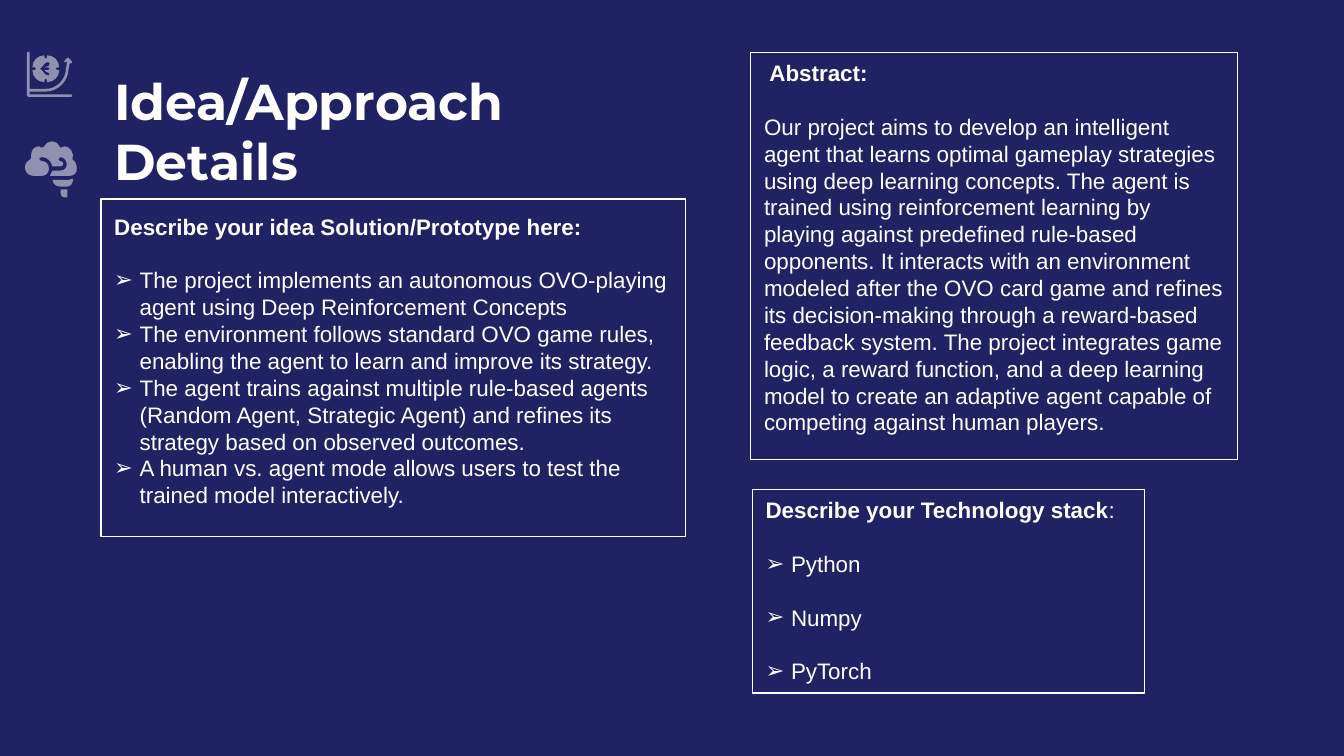
from dataclasses import dataclass

from lxml import etree
from pptx import Presentation
from pptx.dml.color import RGBColor
from pptx.enum.shapes import MSO_SHAPE
from pptx.enum.text import MSO_ANCHOR, PP_ALIGN
from pptx.oxml.ns import qn
from pptx.util import Cm, Pt

RECTANGLE = MSO_SHAPE.RECTANGLE
TOP, BOTTOM = MSO_ANCHOR.TOP, MSO_ANCHOR.BOTTOM
LEFT = PP_ALIGN.LEFT


@dataclass(frozen=True)
class Theme:
    background: RGBColor = RGBColor(0x1F, 0x23, 0x63)
    foreground: RGBColor = RGBColor(0xFF, 0xFF, 0xFF)
    icon_alpha: int = 50000
    title_font: str = "Montserrat"
    body_font: str = "Arial"
    title_size: Pt = Pt(27)
    body_size: Pt = Pt(12)
    line_height: Pt = Pt(14.4)
    border: Pt = Pt(0.75)
    hairline: Pt = Pt(0)
    indent: Cm = Cm(0.48)
    icon_unit: Cm = Cm(0.0254)


THEME = Theme()

COIN = [
    [(6, 14), (4, 14), (4, 19, 8, 23, 13, 23), (13, 22), (13, 20, 15, 20, 15, 22),
     (15, 23), (20, 23, 24, 19, 24, 14), (23, 14), (21, 14, 21, 12, 23, 12),
     (24, 12), (24, 7, 20, 3, 15, 3), (15, 4), (15, 6, 13, 6, 13, 4), (13, 3),
     (8, 3, 4, 7, 4, 12), (6, 12), (7, 12, 7, 14, 6, 14)],
    [(11, 12), (12, 10, 14, 8, 16, 8), (16, 8, 17, 9, 17, 9), (17, 10, 16, 11, 16, 11),
     (15, 11, 14, 11, 13, 12), (16, 12), (17, 12, 17, 14, 16, 14), (13, 14),
     (14, 15, 15, 16, 16, 16), (16, 16, 17, 16, 17, 17), (17, 17, 16, 18, 16, 18),
     (14, 18, 12, 16, 11, 14), (9, 14, 9, 12, 11, 12)],
]
GROWTH_CURVE = [
    [(33, 32), (2, 32), (2, 30), (14, 30), (23, 30, 31, 22, 31, 13), (32, 8), (32, 9),
     (33, 9), (34, 8, 34, 8, 33, 7), (31, 5), (30, 5), (28, 7), (27, 8, 28, 9, 29, 8),
     (30, 8), (29, 13), (29, 21, 22, 28, 14, 28), (2, 28), (2, 1), (2, 0, 0, 0, 0, 1),
     (0, 33), (0, 34, 0, 34, 1, 34), (33, 34), (34, 34, 34, 32, 33, 32)],
]
BRAIN = [
    [(38, 15), (38, 15, 37, 14, 38, 14), (39, 10, 36, 5, 32, 5), (31, 5, 30, 6, 29, 6),
     (29, 6, 28, 6, 28, 5), (26, 0, 19, 0, 17, 5), (16, 6, 16, 6, 15, 6),
     (14, 6, 13, 5, 13, 5), (9, 5, 7, 8, 7, 12), (7, 14), (7, 14, 7, 15, 6, 15),
     (0, 18, 2, 27, 9, 27), (15, 27), (22, 27, 22, 16, 15, 16), (14, 16, 13, 15, 13, 14),
     (13, 14, 14, 13, 15, 13), (19, 13, 22, 16, 23, 20), (29, 20), (30, 20, 31, 19, 31, 18),
     (31, 17, 30, 16, 29, 16), (27, 16, 27, 14, 29, 13), (35, 14, 35, 23, 29, 23),
     (23, 23), (22, 24, 22, 26, 21, 27), (35, 27), (37, 27, 38, 27, 40, 25),
     (41, 24, 41, 23, 41, 21), (41, 19, 40, 16, 38, 15)],
]
BRAIN_STEM = [[(34, 37), (29, 37), (29, 40), (29, 42, 30, 43, 32, 43), (34, 43), (34, 37)]]
CEREBELLUM = [
    [(38, 31), (38, 29), (37, 30, 36, 30, 35, 30), (23, 30), (23, 33, 26, 35, 29, 35),
     (34, 35), (36, 35, 38, 33, 38, 31)],
]

IDEA_POINTS = [
    "The project implements an autonomous OVO-playing agent using Deep Reinforcement Concepts",
    "The environment follows standard OVO game rules, enabling the agent to learn and improve its strategy.",
    "The agent trains against multiple rule-based agents (Random Agent, Strategic Agent) and refines its "
    "strategy based on observed outcomes.",
    "A human vs. agent mode allows users to test the trained model interactively.",
]
ABSTRACT = (
    "Our project aims to develop an intelligent agent that learns optimal gameplay strategies using deep "
    "learning concepts. The agent is trained using reinforcement learning by playing against predefined "
    "rule-based opponents. It interacts with an environment modeled after the OVO card game and refines its "
    "decision-making through a reward-based feedback system. The project integrates game logic, a reward "
    "function, and a deep learning model to create an adaptive agent capable of competing against human players."
)
TECHNOLOGIES = ["Python", "Numpy", "PyTorch"]


def scaled_points(contour):
    return [
        (segment[i] * THEME.icon_unit, segment[i + 1] * THEME.icon_unit)
        for segment in contour
        for i in range(0, len(segment), 2)
    ]


def bend_segments(shape, contours):
    lines = iter(list(shape._element.iter(qn("a:lnTo"))))
    for contour in contours:
        for segment in contour[1:]:
            line = next(lines)
            if len(segment) == 6:
                line.tag = qn("a:cubicBezTo")
                for control in (next(lines), next(lines)):
                    line.append(control[0])
                    control.getparent().remove(control)


def add_icon(slide, left, top, parts):
    for contours in parts:
        outlines = [scaled_points(contour) for contour in contours]
        builder = slide.shapes.build_freeform(*outlines[0][0])
        builder.add_line_segments(outlines[0][1:])
        for outline in outlines[1:]:
            builder.move_to(*outline[0])
            builder.add_line_segments(outline[1:])
        shape = builder.convert_to_shape(left, top)
        bend_segments(shape, contours)
        shape.shadow.inherit = False
        shape.fill.solid()
        shape.fill.fore_color.rgb = THEME.foreground
        shape.line.fill.background()
        color = shape._element.spPr.find(qn("a:solidFill")).find(qn("a:srgbClr"))
        etree.SubElement(color, qn("a:alpha"), val=str(THEME.icon_alpha))


def prepare_frame(shape, horizontal, vertical, anchor):
    frame = shape.text_frame
    frame.word_wrap = True
    frame.vertical_anchor = anchor
    frame.margin_left = frame.margin_right = horizontal
    frame.margin_top = frame.margin_bottom = vertical
    return frame


def style_font(font, name, size, bold):
    font.name, font.size, font.bold = name, size, bold
    font.color.rgb = THEME.foreground


def add_title(slide, left, top, width, height, text):
    shape = slide.shapes.add_textbox(left, top, width, height)
    frame = prepare_frame(shape, Cm(0.25), Cm(0.25), BOTTOM)
    frame.text = text
    style_font(frame.paragraphs[0].font, THEME.title_font, THEME.title_size, True)


def add_bullet(paragraph):
    properties = paragraph._p.get_or_add_pPr()
    properties.set("marL", str(THEME.indent))
    properties.set("indent", str(-THEME.indent))
    etree.SubElement(properties, qn("a:buFont"), typeface=THEME.body_font)
    etree.SubElement(properties, qn("a:buChar"), char="➢")


def add_panel(slide, left, top, width, height, heading, items, suffix="", bulleted=True,
              item_gap=0, vertical_margin=Cm(0.13), border=THEME.border):
    shape = slide.shapes.add_shape(RECTANGLE, left, top, width, height)
    shape.shadow.inherit = False
    shape.fill.background()
    shape.line.color.rgb = THEME.foreground
    shape.line.width = border
    frame = prepare_frame(shape, Cm(0.25), vertical_margin, TOP)

    for index, text in enumerate([heading, *items]):
        is_heading = index == 0
        paragraph = frame.paragraphs[0] if is_heading else frame.add_paragraph()
        paragraph.alignment = LEFT
        paragraph.line_spacing = THEME.line_height
        paragraph.space_before = Pt(0)
        paragraph.space_after = THEME.line_height if is_heading else item_gap
        style_font(paragraph.font, THEME.body_font, THEME.body_size, is_heading)
        paragraph.add_run().text = text
        if is_heading and suffix:
            run = paragraph.add_run()
            run.text = suffix
            run.font.bold = False
        if bulleted and not is_heading:
            add_bullet(paragraph)


def main():
    presentation = Presentation()
    presentation.slide_width, presentation.slide_height = Cm(25.4), Cm(14.29)
    slide = presentation.slides.add_slide(presentation.slide_layouts[6])
    slide.background.fill.solid()
    slide.background.fill.fore_color.rgb = THEME.background

    add_icon(slide, Cm(0.51), Cm(0.97), [COIN, GROWTH_CURVE])
    add_icon(slide, Cm(0.41), Cm(2.64), [BRAIN, BRAIN_STEM, CEREBELLUM])
    add_title(slide, Cm(1.91), Cm(1.02), Cm(11.05), Cm(2.84), "Idea/Approach Details")
    add_panel(slide, Cm(1.91), Cm(3.76), Cm(11.05), Cm(6.38),
              "Describe your idea Solution/Prototype here:", IDEA_POINTS,
              vertical_margin=Cm(0.26), border=THEME.hairline)
    add_panel(slide, Cm(14.19), Cm(0.99), Cm(9.2), Cm(7.7), " Abstract:", [ABSTRACT], bulleted=False)
    add_panel(slide, Cm(14.22), Cm(9.25), Cm(7.41), Cm(3.85), "Describe your Technology stack",
              TECHNOLOGIES, suffix=":", item_gap=THEME.line_height)
    presentation.save("out.pptx")


if __name__ == "__main__":
    main()
